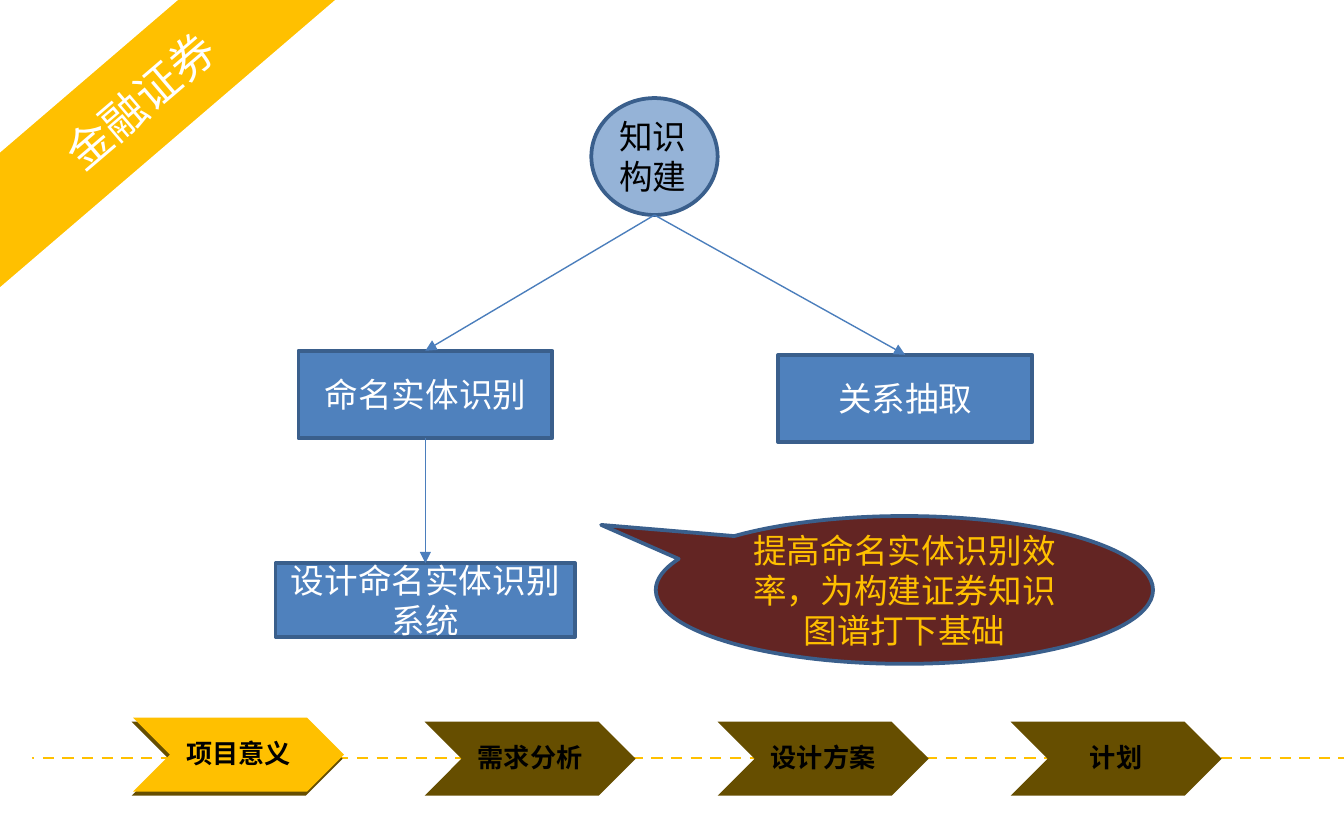
from lxml import etree
from pptx import Presentation
from pptx.dml.color import RGBColor
from pptx.enum.dml import MSO_LINE
from pptx.enum.shapes import MSO_CONNECTOR, MSO_SHAPE
from pptx.enum.text import MSO_ANCHOR, MSO_AUTO_SIZE, PP_ALIGN
from pptx.oxml.ns import qn
from pptx.util import Pt

PX = 9144  # EMU per px, 100 px to the inch
CJK_FONT = "Noto Sans CJK SC"
GOLD, BROWN, WHITE, BLACK = "FFC000", "664E00", "FFFFFF", "000000"
BLUE, NAVY, PALE_BLUE, MAROON = "4F81BD", "3A5F8C", "95B3D7", "632523"


def color(hex_string):
    return RGBColor.from_string(hex_string)


def px(*lengths):
    return [round(length * PX) for length in lengths]


def paint(shape, fill, line=None):
    shape.shadow.inherit = False
    shape.fill.solid()
    shape.fill.fore_color.rgb = color(fill)
    if line:
        shape.line.color.rgb = color(line)
        shape.line.width = Pt(2)
    else:
        shape.line.fill.background()


def write(shape, text, size, text_color, font="Calibri", bold=False,
          align=PP_ALIGN.CENTER, anchor=MSO_ANCHOR.MIDDLE, wrap=True):
    frame = shape.text_frame
    frame.text = text
    frame.word_wrap = wrap
    frame.vertical_anchor = anchor
    paragraph = frame.paragraphs[0]
    paragraph.alignment = align
    run = paragraph.runs[0]
    run.font.size = Pt(size)
    run.font.bold = bold
    run.font.name = font
    run.font.color.rgb = color(text_color)
    if font == CJK_FONT:
        east_asian = etree.SubElement(run.font._element, qn("a:ea"))
        east_asian.set("typeface", font)


def add_block(slide, kind, box, fill, line=None):
    shape = slide.shapes.add_shape(kind, *px(*box))
    paint(shape, fill, line)
    return shape


def add_label(slide, box, text, size, **style):
    label = slide.shapes.add_textbox(*px(*box))
    write(label, text, size, BLACK, anchor=MSO_ANCHOR.TOP, **style)
    label.text_frame.auto_size = MSO_AUTO_SIZE.SHAPE_TO_FIT_TEXT


def add_line(slide, start, end, line_color, width):
    line = slide.shapes.add_connector(
        MSO_CONNECTOR.STRAIGHT, *px(*start), *px(*end))
    line.line.color.rgb = color(line_color)
    line.line.width = Pt(width)
    etree.SubElement(line._element.spPr, qn("a:effectLst"))
    return line


def add_arrow(slide, start, target, source=None):
    """Arrow from a point, or from the bottom of source, to the top of target."""
    arrow = add_line(slide, start, start, "4B7EBC", 0.75)
    if source is not None:
        arrow.begin_connect(source, 2)
    arrow.end_connect(target, 0)
    head = etree.SubElement(arrow.line._get_or_add_ln(), qn("a:tailEnd"))
    head.set("type", "triangle")


def add_ribbon_title(slide, box, text):
    title = slide.shapes.title
    title.left, title.top, title.width, title.height = px(*box)
    title.rotation = 319.4
    paint(title, GOLD, WHITE)
    write(title, text, 24, WHITE, CJK_FONT)


def add_progress_bar(slide, box, steps, active):
    left, top, width, height = box
    chevron_width, chevron_height, pitch = 157, 55, 218
    middle = top + height // 2

    # Dashed track
    track = add_line(slide, (left - 12, middle), (left + width + 16, middle), GOLD, 1.5)
    track.line.dash_style = MSO_LINE.DASH

    # Chevrons, with the active one raised over its own base
    chevrons = [(left + 98 + pitch * i, top + 3, chevron_width, chevron_height)
                for i in range(len(steps))]
    for chevron in chevrons:
        add_block(slide, MSO_SHAPE.CHEVRON, chevron, BROWN)
    x, y, *size = chevrons[active]
    chevrons[active] = (x + 1, y - 3, *size)
    add_block(slide, MSO_SHAPE.CHEVRON, chevrons[active], GOLD)

    # Step names centred on the chevrons
    for step, (x, y, *_) in zip(steps, chevrons):
        label_width = 19 + 20 * len(step)
        label_box = (x + (chevron_width - label_width) // 2, y + 10, label_width, 34)
        add_label(slide, label_box, step, 14, font=CJK_FONT, bold=True, wrap=False)

    # Start dot
    add_block(slide, MSO_SHAPE.OVAL, (left, middle - 11, 24, 24), WHITE)


def add_knowledge_tree(slide, box):
    left, top, _, _ = box

    def node(x, y, width, height, text):
        shape = add_block(slide, MSO_SHAPE.RECTANGLE,
                          (left + x, top + y, width, height), BLUE, NAVY)
        write(shape, text, 18, WHITE)
        return shape

    # Root
    add_block(slide, MSO_SHAPE.OVAL, (left + 235, top, 94, 87), PALE_BLUE, NAVY)
    add_label(slide, (left + 246, top + 8, 71, 71), "知识构建", 18, align=PP_ALIGN.LEFT)

    # Branches
    recognition = node(17, 188, 189, 65, "命名实体识别")
    extraction = node(374, 191, 189, 65, "关系抽取")
    system = node(0, 346, 223, 55, "设计命名实体识别系统")
    root_bottom = (left + 282, top + 87)
    add_arrow(slide, root_bottom, recognition)
    add_arrow(slide, root_bottom, extraction)
    add_arrow(slide, root_bottom, system, recognition)


def add_goal_callout(slide, box, text):
    callout = add_block(slide, MSO_SHAPE.OVAL_CALLOUT, box, MAROON, NAVY)
    callout.adjustments[0] = -0.61
    callout.adjustments[1] = -0.44
    write(callout, text, 18, GOLD)


def main():
    presentation = Presentation()
    presentation.slide_width, presentation.slide_height = px(1000, 625)
    slide = presentation.slides.add_slide(presentation.slide_layouts[5])

    add_ribbon_title(slide, (-93, 35, 394, 79), "金融证券")
    add_progress_bar(slide, (0, 534, 1000, 60),
                     ["项目意义", "需求分析", "设计方案", "计划"], active=0)
    add_knowledge_tree(slide, (205, 73, 563, 401))
    add_goal_callout(slide, (488, 384, 370, 110),
                     "提高命名实体识别效率，为构建证券知识图谱打下基础")

    presentation.save("out.pptx")


if __name__ == "__main__":
    main()
